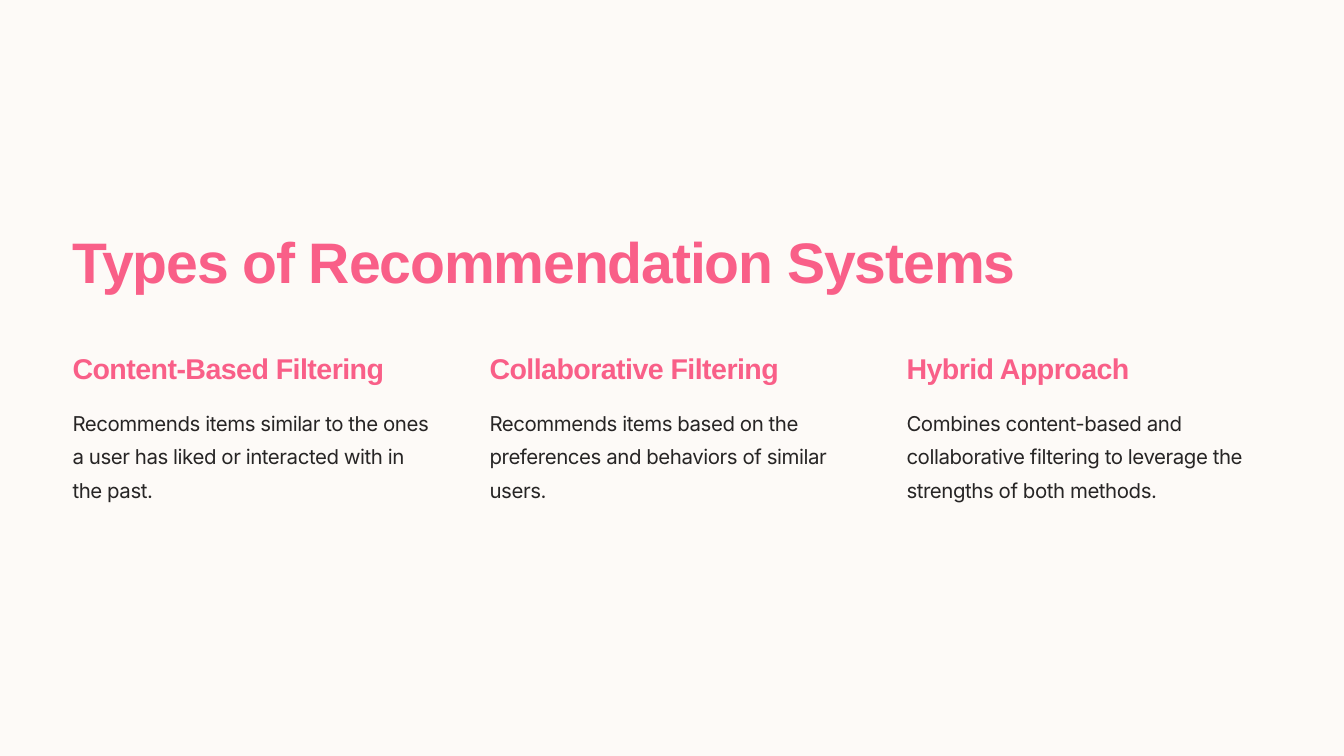
from dataclasses import dataclass

from pptx import Presentation
from pptx.dml.color import RGBColor
from pptx.enum.shapes import MSO_SHAPE
from pptx.util import Inches, Pt


@dataclass(frozen=True)
class TextStyle:
    """Look of one level of text, with sizes in points."""
    font: str
    size: float
    color: str
    line_height: float
    tracking: float
    bold: bool = False


class Theme:
    """Colours and text styles of the slide."""
    BACKGROUND = "FAF2E9"
    PANEL = "FDFAF7"
    PINK = "F95F88"
    INK = "272525"
    TITLE = TextStyle("Arial", 61.2, PINK, 76.2, -1.2, True)
    HEADING = TextStyle("Arial", 30.6, PINK, 38.1, -0.6, True)
    BODY = TextStyle("Inter", 21.9, INK, 35.6, -0.5)


SYSTEM_TYPES = [
    ("Content-Based Filtering",
     "Recommends items similar to the ones a user has liked or interacted with in the past."),
    ("Collaborative Filtering",
     "Recommends items based on the preferences and behaviors of similar users."),
    ("Hybrid Approach",
     "Combines content-based and collaborative filtering to leverage the strengths of both methods."),
]


def set_fill(fill, color):
    """Make a fill solid in one colour."""
    fill.solid()
    fill.fore_color.rgb = RGBColor.from_string(color)


def add_text(slide, text, style, left, top, width, height):
    """Add a text box without margins, set in one style."""
    shape = slide.shapes.add_textbox(left, top, width, height)
    frame = shape.text_frame
    frame.word_wrap = True
    frame.margin_left = frame.margin_top = frame.margin_right = frame.margin_bottom = 0
    paragraph = frame.paragraphs[0]
    paragraph.line_spacing = Pt(style.line_height)
    run = paragraph.add_run()
    run.text = text
    run.font.name = style.font
    run.font.size = Pt(style.size)
    run.font.bold = style.bold
    run.font.color.rgb = RGBColor.from_string(style.color)
    run._r.get_or_add_rPr().set("spc", str(round(style.tracking * 100)))


def add_panel(slide, left, top, width, height):
    """Place the plain panel that carries the content."""
    shape = slide.shapes.add_shape(MSO_SHAPE.RECTANGLE, left, top, width, height)
    shape.shadow.inherit = False
    shape.line.fill.background()
    set_fill(shape.fill, Theme.PANEL)


def add_title(slide, left, top, width, height):
    """Place the slide title."""
    add_text(slide, "Types of Recommendation Systems", Theme.TITLE, left, top, width, height)


def add_type_column(slide, heading, body, left, top, width, height):
    """Place one heading with its description below."""
    body_offset = Inches(0.79)
    add_text(slide, heading, Theme.HEADING, left, top, width, Inches(0.54))
    add_text(slide, body, Theme.BODY, left, top + body_offset, width, height - body_offset)


def add_type_columns(slide, left, top, width, height):
    """Spread the system types over equal columns."""
    column_width = Inches(5.44)
    step = (width - column_width) // (len(SYSTEM_TYPES) - 1)
    for index, (heading, body) in enumerate(SYSTEM_TYPES):
        add_type_column(slide, heading, body, left + index * step, top, column_width, height)


def main():
    """Build and save the slide."""
    presentation = Presentation()
    presentation.slide_width = Inches(20)
    presentation.slide_height = Inches(11.25)
    slide = presentation.slides.add_slide(presentation.slide_layouts[6])
    set_fill(slide.background.fill, Theme.BACKGROUND)
    add_panel(slide, 0, 0, presentation.slide_width, presentation.slide_height)
    margin = Inches(1.08)
    add_title(slide, margin, Inches(3.33), Inches(14.54), Inches(1.08))
    add_type_columns(slide, margin, Inches(5.2), Inches(17.85), Inches(2.37))
    presentation.save("out.pptx")


if __name__ == "__main__":
    main()
